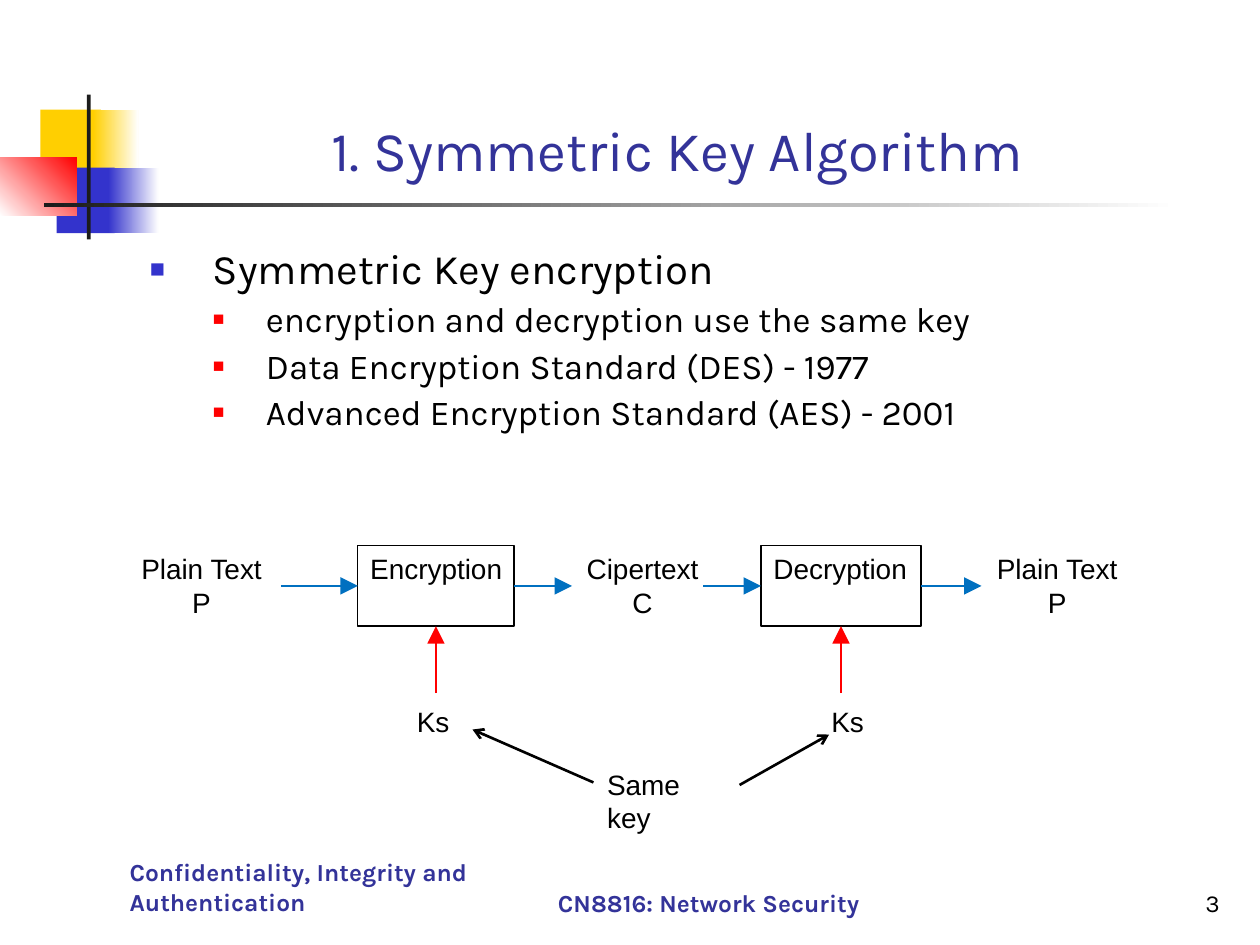
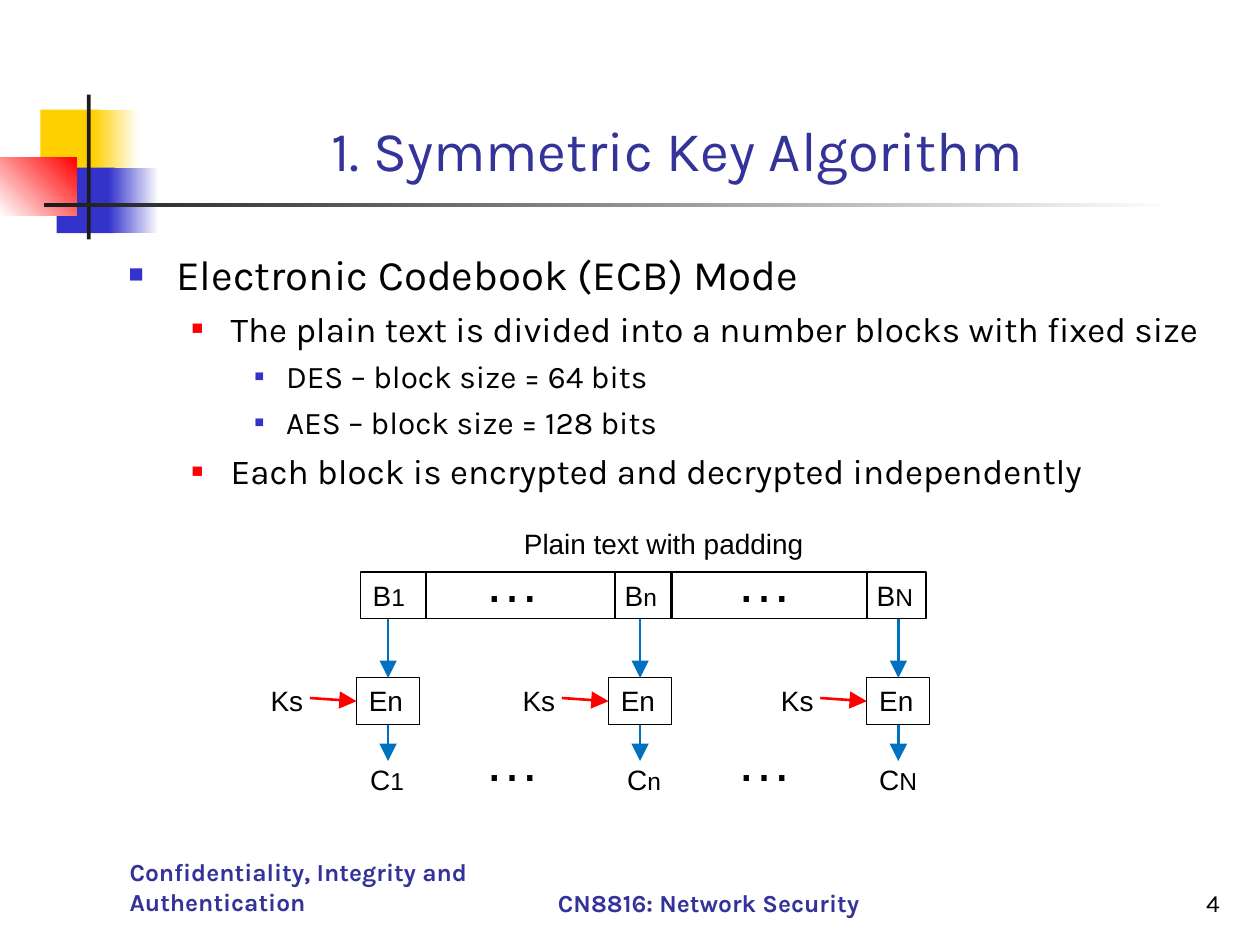
from dataclasses import dataclass

from lxml.etree import SubElement
from pptx import Presentation
from pptx.dml.color import RGBColor
from pptx.enum.shapes import MSO_CONNECTOR, MSO_SHAPE
from pptx.enum.text import MSO_ANCHOR, MSO_AUTO_SIZE, PP_ALIGN
from pptx.oxml.ns import qn
from pptx.util import Inches, Pt


@dataclass(frozen=True)
class Theme:
    white: str = "FFFFFF"
    black: str = "000000"
    ink: str = "1C1C1C"
    title: str = "333399"
    yellow: str = "FFCF01"
    blue: str = "3333CC"
    red: str = "FF0000"
    flow: str = "0070C0"
    heading: str = "Karla"
    label: str = "Arial"
    title_pt: int = 32
    footer_pt: int = 14
    label_pt: int = 16
    index_pt: int = 14
    dots_pt: int = 32


T = Theme()
LEFT, CENTER, RIGHT = PP_ALIGN.LEFT, PP_ALIGN.CENTER, PP_ALIGN.RIGHT
TOP, LEFT_SIDE, BOTTOM, RIGHT_SIDE = range(4)
SOLID_HEAD = dict(type="triangle", w="lg", len="lg")
OPEN_HEAD = dict(type="arrow", w="med", len="med")

TITLE = "1. Symmetric Key Algorithm"
TITLE_BOX = (1.12, 0.33, 8.52, 1.17)
FOOTERS = [
    ("Confidentiality, Integrity and Authentication", (0.93, 6.82, 3, 0.5), LEFT),
    ("CN8816: Network Security", (4, 6.83, 3.25, 0.5), CENTER),
]
NUMBER_BOX = (7.7, 6.83, 2.08, 0.5)

DECOR = [
    ((0.32, 0.87, 0.48, 0.52), (T.yellow,), 0),
    ((0.74, 0.87, 0.36, 0.52), (T.yellow, T.white), 0),
    ((0.45, 1.33, 0.46, 0.52), (T.blue,), 0),
    ((0.86, 1.33, 0.4, 0.52), (T.blue, T.white), 0),
    ((0, 1.25, 0.61, 0.46), (T.white, T.red), 45),
    ((0.69, 0.75, 0.03, 1.15), (T.ink,), 0),
    ((0.35, 1.61, 9, 0.03), (T.ink, T.white), 0),
]

LEVELS = [
    dict(pt=24, before=6, color=T.blue, bullet=60),
    dict(pt=20, before=5, color=T.red, bullet=55),
    dict(pt=18, before=4.5, color=T.blue, bullet=50),
]

KEY_BODY = dict(
    box=(1.09, 1.92, 8.44, 2), spacing=0.9, indents=[(0.5, 0.5), (0.92, 0.42)],
    items=[
        (0, "Symmetric Key encryption"),
        (1, "encryption and decryption use the same key"),
        (1, "Data Encryption Standard (DES) - 1977"),
        (1, "Advanced Encryption Standard (AES) - 2001"),
    ])
ECB_BODY = dict(
    box=(0.92, 1.92, 8.88, 4.79), spacing=1.0,
    indents=[(0.38, 0.38), (0.81, 0.31), (1.25, 0.25)],
    items=[
        (0, "Electronic Codebook (ECB) Mode"),
        (1, "The plain text is divided into a number blocks with fixed size"),
        (2, "DES – block size = 64 bits"),
        (2, "AES – block size = 128 bits"),
        (1, "Each block is encrypted and decrypted independently"),
    ])

FLOW_Y, FLOW_H = 4.33, 0.64
STAGES = [("Encryption", 2.84, 1.24), ("Decryption", 6.04, 1.27)]
TEXTS = [("Plain Text", "P", 0.98, 1.24), ("Cipertext", "C", 4.55, 1.1),
         ("Plain Text", "P", 7.77, 1.24)]
STAGE_ENDS = [(2.23, 4.54), (5.58, 7.79)]
KEY_XS = (3.21, 6.5)
SAME_KEY = [((4.71, 6.21), (3.75, 5.79)), ((5.87, 6.23), (6.58, 5.83))]

ROW_H = 0.37
STRIP = (2.86, 4.54, 4.49, ROW_H)
STRIP_TABS = (2, 4)
DIVIDERS = (3.38, 4.88, 5.33, 6.88)
BLOCKS = [("1", 2.83, 2.84), ("n", 4.83, 4.88), ("N", 6.88, 6.88)]
EN_Y, EN_W, CIPHER_Y = 5.38, 0.5, 6
DOT_XS, DOT_YS = (3.75, 5.75), (4.29, 5.71)


def rgb(value):
    return RGBColor.from_string(value)


def inches(values):
    return [Inches(v) for v in values]


def add_run(p, text, pt, font=T.label, color=T.black, bold=False):
    r = p.add_run()
    r.text = text
    r.font.size, r.font.name, r.font.bold = Pt(pt), font, bold
    r.font.color.rgb = rgb(color)


def set_label(sp, lines, align=LEFT, tabs=()):
    tf = sp.text_frame
    tf.word_wrap = False
    tf.vertical_anchor = MSO_ANCHOR.TOP
    for i, runs in enumerate(lines):
        p = tf.add_paragraph() if i else tf.paragraphs[0]
        p.alignment = align
        if tabs:
            tab_list = SubElement(p._p.get_or_add_pPr(), qn("a:tabLst"))
            for pos in tabs:
                SubElement(tab_list, qn("a:tab"), pos=str(Inches(pos)), algn="l")
        for text, pt in runs:
            add_run(p, text, pt)


def add_label(s, box, lines, align=LEFT):
    sp = s.shapes.add_textbox(*inches(box))
    set_label(sp, lines, align)
    sp.text_frame.auto_size = MSO_AUTO_SIZE.SHAPE_TO_FIT_TEXT


def add_rect(s, box):
    sp = s.shapes.add_shape(MSO_SHAPE.RECTANGLE, *inches(box))
    sp.shadow.inherit = False
    return sp


def add_box(s, box, runs, tabs=()):
    sp = add_rect(s, box)
    sp.fill.background()
    sp.line.color.rgb = rgb(T.black)
    sp.line.width = Pt(0.75)
    set_label(sp, [runs], tabs=tabs)
    return sp


def add_line(s, start, end, color, head=None, begin=None, finish=None):
    cx = s.shapes.add_connector(MSO_CONNECTOR.STRAIGHT, *inches(start + end))
    if begin:
        cx.begin_connect(*begin)
    if finish:
        cx.end_connect(*finish)
    cx.line.color.rgb = rgb(color)
    cx.line.width = Pt(1.5)
    if head:
        SubElement(cx.line._get_or_add_ln(), qn("a:tailEnd"), **head)
    SubElement(cx._element.spPr, qn("a:effectLst"))


def decorate(s, layout):
    for i, (box, colors, angle) in enumerate(DECOR):
        sp = add_rect(s, box)
        sp.line.fill.background()
        if len(colors) == 1:
            sp.fill.solid()
            sp.fill.fore_color.rgb = rgb(colors[0])
        else:
            sp.fill.gradient()
            sp.fill.gradient_angle = angle
            for stop, color in zip(sp.fill.gradient_stops, colors):
                stop.color.rgb = rgb(color)
        layout.shapes.element.insert(2 + i, sp.element)


def add_footer(s, text, box, align, color=T.title, bold=True):
    tf = s.shapes.add_textbox(*inches(box)).text_frame
    tf.word_wrap = True
    tf.vertical_anchor = MSO_ANCHOR.BOTTOM
    p = tf.paragraphs[0]
    p.alignment = align
    add_run(p, text, T.footer_pt, T.heading, color, bold)


def place(sp, box, anchor):
    sp.left, sp.top, sp.width, sp.height = inches(box)
    tf = sp.text_frame
    tf.auto_size = MSO_AUTO_SIZE.NONE
    tf.vertical_anchor = anchor
    return tf


def fill_body(sp, body):
    tf = place(sp, body["box"], MSO_ANCHOR.TOP)
    for i, (level, text) in enumerate(body["items"]):
        style = LEVELS[level]
        margin, hang = body["indents"][level]
        p = tf.add_paragraph() if i else tf.paragraphs[0]
        p.level = level
        p.line_spacing = body["spacing"]
        p.space_before = Pt(style["before"] if i else 0)
        pPr = p._p.get_or_add_pPr()
        pPr.set("marL", str(Inches(margin)))
        pPr.set("indent", str(-Inches(hang)))
        SubElement(SubElement(pPr, qn("a:buClr")), qn("a:srgbClr"), val=style["color"])
        SubElement(pPr, qn("a:buSzPct"), val=str(style["bullet"] * 1000))
        SubElement(pPr, qn("a:buFont"), typeface=T.label)
        SubElement(pPr, qn("a:buChar"), char="■")
        add_run(p, text, style["pt"], T.heading)


def add_slide(prs, layout, number, body):
    s = prs.slides.add_slide(layout)
    p = place(s.shapes.title, TITLE_BOX, MSO_ANCHOR.BOTTOM).paragraphs[0]
    p.alignment = CENTER
    add_run(p, TITLE, T.title_pt, T.heading, T.title)
    fill_body(s.placeholders[1], body)
    for footer in FOOTERS:
        add_footer(s, *footer)
    add_footer(s, str(number), NUMBER_BOX, RIGHT, T.black, False)
    return s


def draw_key_flow(s):
    mid, low = FLOW_Y + FLOW_H / 2, FLOW_Y + FLOW_H
    for (name, x, w), (start, end), key_x in zip(STAGES, STAGE_ENDS, KEY_XS):
        sp = add_box(s, (x, FLOW_Y, w, FLOW_H), [(name, T.label_pt)])
        add_line(s, (start, mid), (x, mid), T.flow, SOLID_HEAD, finish=(sp, LEFT_SIDE))
        add_line(s, (x + w, mid), (end, mid), T.flow, SOLID_HEAD, begin=(sp, RIGHT_SIDE))
        add_line(s, (x + w / 2, low + 0.53), (x + w / 2, low), T.red, SOLID_HEAD,
                 finish=(sp, BOTTOM))
        add_label(s, (key_x, 5.54, 0.46, ROW_H), [[("Ks", T.label_pt)]])
    for name, symbol, x, w in TEXTS:
        add_label(s, (x, FLOW_Y, w, FLOW_H),
                  [[(name, T.label_pt)], [(symbol, T.label_pt)]], CENTER)
    add_label(s, (4.72, 6.04, 1.18, ROW_H), [[("Same key", T.label_pt)]])
    for start, end in SAME_KEY:
        add_line(s, start, end, T.black, OPEN_HEAD)


def draw_codebook(s):
    x, y, w, h = STRIP
    runs = []
    for i, (index, _, _) in enumerate(BLOCKS):
        runs += [("\tB" if i else "B", T.label_pt), (index, T.index_pt)]
    add_box(s, STRIP, runs, STRIP_TABS)
    for x in DIVIDERS:
        add_line(s, (x, y), (x, y + h), T.black)
    add_label(s, (4.06, 4.13, 2.42, ROW_H), [[("Plain text with padding", T.label_pt)]])
    for index, x, cipher_x in BLOCKS:
        mid = x + EN_W / 2
        sp = add_box(s, (x, EN_Y, EN_W, ROW_H), [("En", T.label_pt)])
        add_line(s, (mid, y + h), (mid, EN_Y), T.flow, SOLID_HEAD, finish=(sp, TOP))
        add_line(s, (x - 0.37, EN_Y + 0.16), (x, EN_Y + ROW_H / 2), T.red, SOLID_HEAD,
                 finish=(sp, LEFT_SIDE))
        add_line(s, (mid, EN_Y + ROW_H), (mid, CIPHER_Y + 0.04), T.flow, SOLID_HEAD,
                 begin=(sp, BOTTOM))
        add_label(s, (x - 0.78, EN_Y, 0.46, ROW_H), [[("Ks", T.label_pt)]])
        add_label(s, (cipher_x, CIPHER_Y, 0.5, ROW_H),
                  [[("C", T.label_pt), (index, T.index_pt)]])
    for top in DOT_YS:
        for x in DOT_XS:
            add_label(s, (x, top, 0.64, 0.64), [[("…", T.dots_pt)]])


def main():
    prs = Presentation()
    prs.slide_width, prs.slide_height = Inches(10), Inches(7.5)
    layout = prs.slide_layouts[1]
    pages = [(3, KEY_BODY, draw_key_flow), (4, ECB_BODY, draw_codebook)]
    for number, body, draw in pages:
        s = add_slide(prs, layout, number, body)
        draw(s)
    decorate(s, layout)
    prs.save("out.pptx")


if __name__ == "__main__":
    main()
